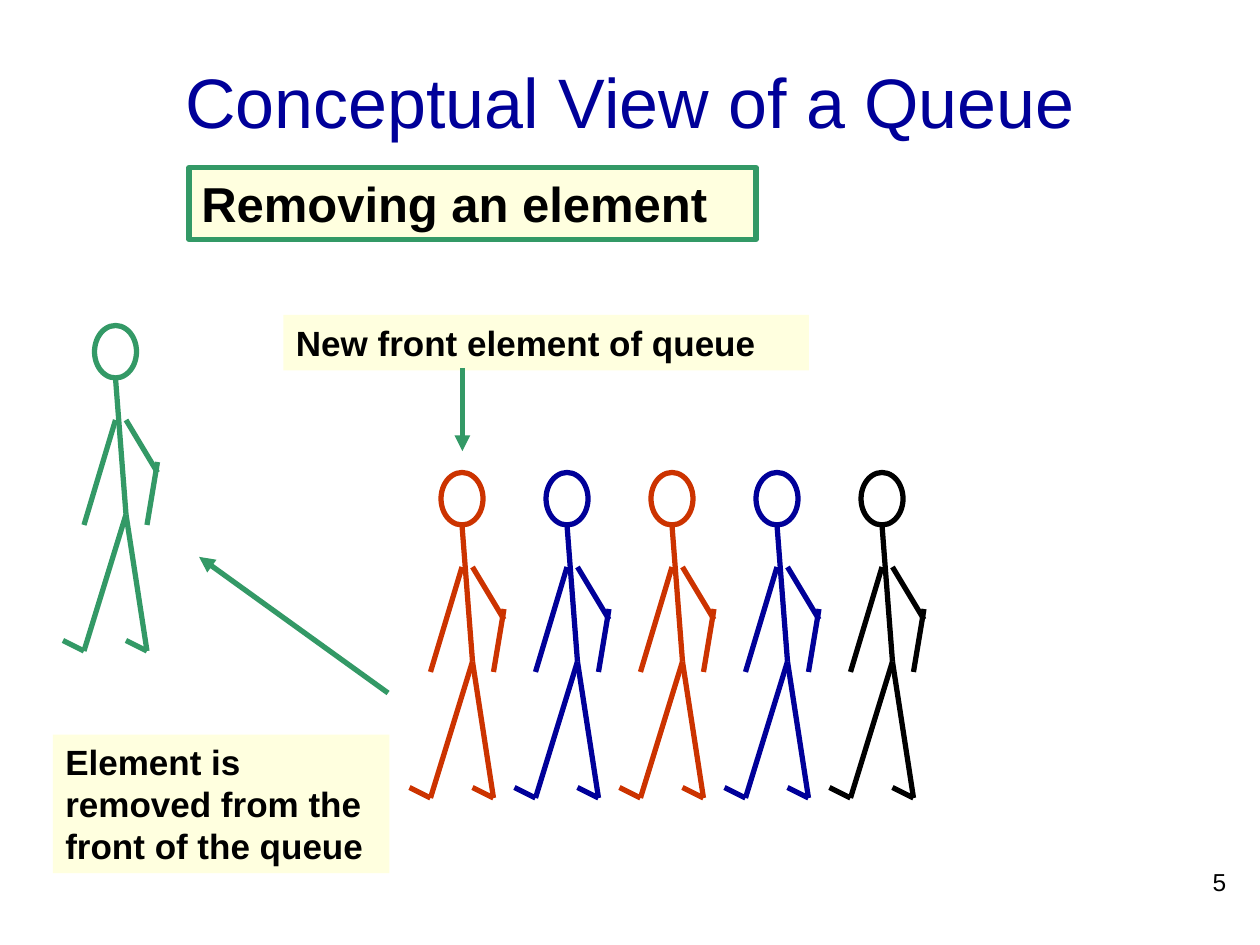
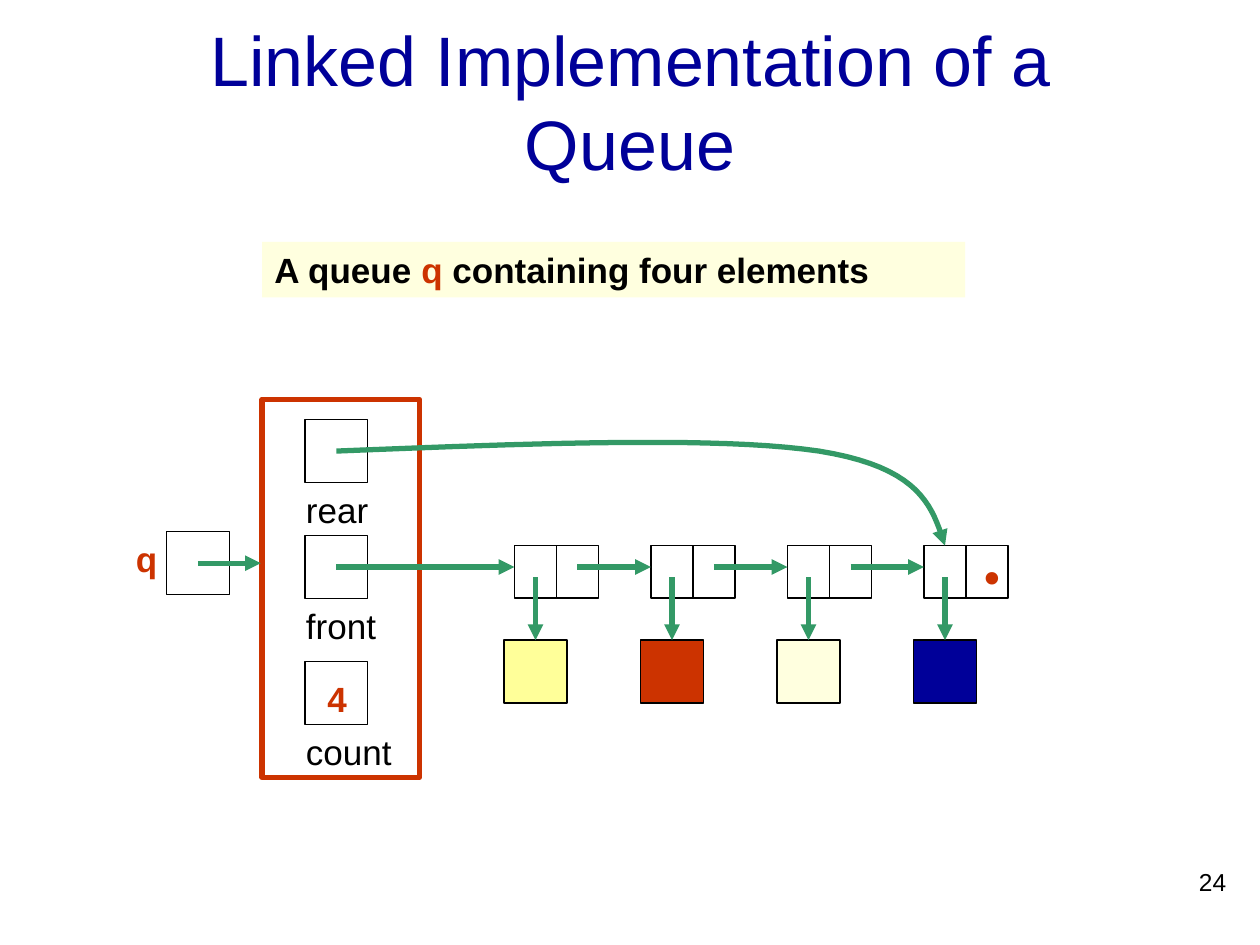
"""Build two slides that explain a queue and its linked implementation."""
from lxml.etree import SubElement
from pptx import Presentation
from pptx.dml.color import RGBColor
from pptx.enum.shapes import MSO_CONNECTOR, MSO_SHAPE
from pptx.enum.text import MSO_ANCHOR, MSO_AUTO_SIZE, PP_ALIGN
from pptx.oxml.ns import qn
from pptx.util import Inches, Pt

COLORS = {
    "navy": "000099",
    "red": "CC3300",
    "green": "339966",
    "black": "000000",
    "cream": "FFFFDF",
    "yellow": "FFFF99",
}
UNIT = 1 / 12
THICK = 3
THIN = 0.75


def add_box(page, place, text="", kind=None, fill=None, line=None, weight=THICK,
            size=20, font="Arial", color="black", bold=False, align=PP_ALIGN.LEFT):
    """Add a text box or preset shape; text is a string or (string, color) pairs."""
    area = [Inches(value) for value in place]
    if kind is None:
        box = page.shapes.add_textbox(*area)
    else:
        box = page.shapes.add_shape(kind, *area)
        box.shadow.inherit = False
    if fill:
        box.fill.solid()
        box.fill.fore_color.rgb = RGBColor.from_string(COLORS[fill])
    else:
        box.fill.background()
    if line:
        box.line.color.rgb = RGBColor.from_string(COLORS[line])
        box.line.width = Pt(weight)
    else:
        box.line.fill.background()
    if text:
        box.text_frame.word_wrap = True
        para = box.text_frame.paragraphs[0]
        para.alignment = align
        for words, tint in [(text, color)] if isinstance(text, str) else text:
            span = para.add_run()
            span.text = words
            span.font.name = font
            span.font.size = Pt(size)
            span.font.bold = bold
            span.font.color.rgb = RGBColor.from_string(COLORS[tint])


def add_line(page, points, color="green", arrow=True):
    """Add a connector through two points or an open outline through more."""
    corners = [(Inches(x), Inches(y)) for x, y in points]
    if len(corners) == 2:
        stroke = page.shapes.add_connector(MSO_CONNECTOR.STRAIGHT, *corners[0], *corners[1])
        SubElement(stroke._element.spPr, qn("a:effectLst"))
    else:
        builder = page.shapes.build_freeform(*corners[0])
        builder.add_line_segments(corners[1:], close=False)
        stroke = builder.convert_to_shape()
        stroke.fill.background()
        stroke.shadow.inherit = False
    stroke.line.color.rgb = RGBColor.from_string(COLORS[color])
    stroke.line.width = Pt(THICK)
    if arrow:
        SubElement(stroke.line._get_or_add_ln(), qn("a:tailEnd"), type="triangle")


deck = Presentation()
deck.slide_width = Inches(10)
deck.slide_height = Inches(7.5)

pages = []
for heading, number in [("Conceptual View of a Queue", "5"),
                        ("Linked Implementation of a Queue", "24")]:
    page = deck.slides.add_slide(deck.slide_layouts[5])
    title = page.shapes.title
    title.left, title.top = Inches(0.75), Inches(0.17)
    title.width, title.height = Inches(8.5), Inches(1.25)
    title.text_frame.text = heading
    title.text_frame.word_wrap = True
    title.text_frame.auto_size = MSO_AUTO_SIZE.NONE
    title.text_frame.vertical_anchor = MSO_ANCHOR.MIDDLE
    para = title.text_frame.paragraphs[0]
    para.alignment = PP_ALIGN.CENTER
    para.font.name = "Arial"
    para.font.size = Pt(40)
    para.font.color.rgb = RGBColor.from_string(COLORS["navy"])
    add_box(page, (7.75, 6.83, 2.08, 0.5), number, size=14, align=PP_ALIGN.RIGHT)
    pages.append(page)
concept, linked = pages

limbs = [
    ((0, 5), (1, 18)),
    ((1, 18), (-3, 31)),
    ((1, 18), (3, 31)),
    ((-3, 31), (-5, 30)),
    ((3, 31), (1, 30)),
    ((0, 9), (-3, 19)),
    ((1, 9), (4, 14)),
    ((4, 13), (3, 19)),
]
people = [(11, 31, "green")]
for index, color in enumerate(["red", "navy", "red", "navy", "black"]):
    people.append((44 + 10 * index, 45, color))
for column, row, color in people:
    head = [(column - 2) * UNIT, row * UNIT, 4 * UNIT, 5 * UNIT]
    add_box(concept, head, kind=MSO_SHAPE.OVAL, line=color)
    for limb in limbs:
        ends = [((column + x) * UNIT, (row + y) * UNIT) for x, y in limb]
        add_line(concept, ends, color, arrow=False)

add_box(concept, (1.5, 1.33, 4.5, 0.57), "Removing an element",
        fill="cream", line="green", size=28, bold=True)
add_box(concept, (2.25, 2.5, 4.17, 0.44), "New front element of queue", fill="cream", bold=True)
add_box(concept, (0.42, 5.83, 2.67, 1.1), "Element is removed from the front of the queue",
        fill="cream", bold=True)
add_line(concept, [(3.08, 5.5), (1.58, 4.42)])
add_line(concept, [(3.67, 2.92), (3.67, 3.58)])

add_box(linked, (2.08, 1.92, 5.58, 0.44),
        [("A queue ", "black"), ("q", "red"), (" containing four elements", "black")],
        fill="cream", bold=True)
add_box(linked, (2.08, 3.17, 1.25, 3), kind=MSO_SHAPE.RECTANGLE, line="red")
for field, top in [("rear", 3.33), ("front", 4.25), ("count", 5.25)]:
    add_box(linked, (2.42, top, 0.5, 0.5), kind=MSO_SHAPE.RECTANGLE, line="black", weight=THIN)
    add_box(linked, (2.33, top + 0.5, 0.92, 0.44), field)
add_box(linked, (2.5, 5.33, 0.39, 0.44), "4", color="red", bold=True)
add_box(linked, (0.98, 4.22, 0.5, 0.44), "q", color="red", bold=True)
add_box(linked, (1.32, 4.22, 0.5, 0.5), kind=MSO_SHAPE.RECTANGLE, line="black", weight=THIN)
add_line(linked, [(1.57, 4.47), (2.07, 4.47)])

link_start = 2.67
for index, fill in enumerate(["yellow", "red", "cream", "navy"]):
    node = (49 + 13 * index) * UNIT
    add_box(linked, (node - UNIT, 5.08, 0.5, 0.5), kind=MSO_SHAPE.RECTANGLE,
            fill=fill, line="black", weight=THIN)
    for cell in (node, node + 4 * UNIT):
        add_box(linked, (cell, 4.33, 4 * UNIT, 5 * UNIT), kind=MSO_SHAPE.RECTANGLE,
                line="black", weight=THIN)
    add_line(linked, [(node + 2 * UNIT, 4.58), (node + 2 * UNIT, 5.08)])
    add_line(linked, [(link_start, 4.5), (node, 4.5)])
    link_start = node + 6 * UNIT
add_box(linked, (7.67, 3.75, 0.33, 1.1), ".", size=60, font="Times New Roman", color="red")

rear_link = [(2.67, 3.58)]
steps = 20
for controls in [((2.67, 3.58), (4.18, 3.52), (5.69, 3.46), (6.5, 3.58)),
                 ((6.5, 3.58), (7.31, 3.71), (7.4, 4.02), (7.5, 4.33))]:
    for step in range(1, steps + 1):
        t = step / steps
        weights = ((1 - t) ** 3, 3 * t * (1 - t) ** 2, 3 * t ** 2 * (1 - t), t ** 3)
        rear_link.append([sum(w * point[axis] for w, point in zip(weights, controls))
                          for axis in (0, 1)])
add_line(linked, rear_link)

deck.save("out.pptx")
